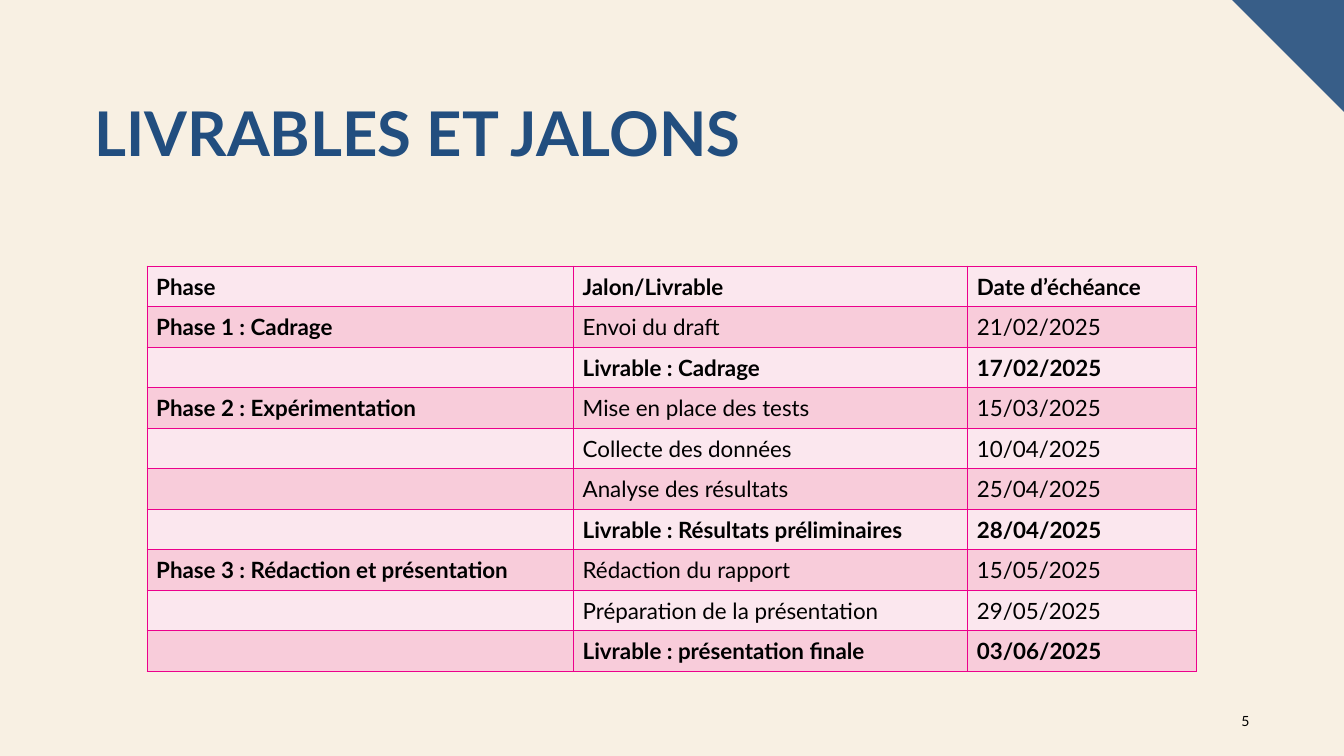
from lxml.etree import SubElement
from pptx import Presentation
from pptx.dml.color import RGBColor
from pptx.enum.text import MSO_ANCHOR as Anchor, PP_ALIGN as Align
from pptx.oxml.ns import qn
from pptx.util import Inches, Pt

TITLE = "LIVRABLES ET JALONS"
PAGE_NUMBER = "5"
HEADER = ("Phase", "Jalon/Livrable", "Date d’échéance")
PHASES = [
    ("Phase 1 : Cadrage", [
        ("Envoi du draft", "21/02/2025"),
        ("Livrable : Cadrage", "17/02/2025"),
    ]),
    ("Phase 2 : Expérimentation", [
        ("Mise en place des tests", "15/03/2025"),
        ("Collecte des données", "10/04/2025"),
        ("Analyse des résultats", "25/04/2025"),
        ("Livrable : Résultats préliminaires", "28/04/2025"),
    ]),
    ("Phase 3 : Rédaction et présentation", [
        ("Rédaction du rapport", "15/05/2025"),
        ("Préparation de la présentation", "29/05/2025"),
        ("Livrable : présentation finale", "03/06/2025"),
    ]),
]

FONT = "Lato"
CREAM, BLUE, NAVY, BLACK = "F8F0E3", "385E88", "224E7F", "000000"
BANDS = ("FBE7EE", "F8CCDA")
BORDER = "EC008C"
WIDTH, HEIGHT = 13.33, 7.5
CORNER = 1.11
TABLE_LEFT, TABLE_TOP, TABLE_HEIGHT = 1.46, 2.64, 4.02
COLUMNS = (4.23, 3.91, 2.27)


def color(hex_code):
    return RGBColor.from_string(hex_code)


def style(para, size, hex_code, bold=False):
    font = para.font
    font.name, font.size, font.bold = FONT, Pt(size), bold
    font.color.rgb = color(hex_code)


def add_text(page, text, area):
    box = page.shapes.add_textbox(*map(Inches, area))
    box.text_frame.word_wrap = True
    box.text_frame.text = text
    return box.text_frame, box.text_frame.paragraphs[0]


def add_corner(page):
    builder = page.shapes.build_freeform(
        Inches(WIDTH - CORNER), 0)
    builder.add_line_segments(
        [(Inches(WIDTH), 0), (Inches(WIDTH), Inches(CORNER))], close=True)
    corner = builder.convert_to_shape()
    corner.shadow.inherit = False
    corner.fill.solid()
    corner.fill.fore_color.rgb = color(BLUE)
    corner.line.fill.background()


def add_borders(cell):
    properties = cell._tc.get_or_add_tcPr()
    for side in ("a:lnL", "a:lnR", "a:lnT", "a:lnB"):
        line = SubElement(properties, qn(side), w=str(Pt(1)))
        fill = SubElement(line, qn("a:solidFill"))
        SubElement(fill, qn("a:srgbClr"), val=BORDER)


def table_rows():
    """Yield each row's texts with the matching bold flags."""
    yield HEADER, (True, True, True)
    for phase, milestones in PHASES:
        for index, (milestone, date) in enumerate(milestones):
            is_deliverable = milestone.startswith("Livrable")
            yield ((phase if index == 0 else "", milestone, date),
                   (True, is_deliverable, is_deliverable))


def add_schedule(page):
    rows = list(table_rows())
    table = page.shapes.add_table(
        len(rows), len(COLUMNS), Inches(TABLE_LEFT), Inches(TABLE_TOP),
        Inches(sum(COLUMNS)), Inches(TABLE_HEIGHT)).table
    table.first_row = table.horz_banding = False
    for column, width in zip(table.columns, COLUMNS):
        column.width = Inches(width)
    for row_index, (texts, bolds) in enumerate(rows):
        table.rows[row_index].height = Inches(TABLE_HEIGHT / len(rows))
        for cell, text, bold in zip(table.rows[row_index].cells, texts, bolds):
            cell.text = text
            cell.vertical_anchor = Anchor.MIDDLE
            cell.margin_left = cell.margin_right = Inches(0.09)
            cell.margin_top = cell.margin_bottom = Inches(0.05)
            style(cell.text_frame.paragraphs[0], 16, BLACK, bold)
            add_borders(cell)
            cell.fill.solid()
            cell.fill.fore_color.rgb = color(BANDS[row_index % 2])


def main():
    deck = Presentation()
    deck.slide_width, deck.slide_height = Inches(WIDTH), Inches(HEIGHT)
    page = deck.slides.add_slide(deck.slide_layouts[6])
    page.background.fill.solid()
    page.background.fill.fore_color.rgb = color(CREAM)
    add_corner(page)

    _, title = add_text(page, TITLE, (0.84, 0.98, 11.66, 1.45))
    title.line_spacing = 0.9
    style(title, 44, NAVY, bold=True)

    frame, number = add_text(page, PAGE_NUMBER, (11.99, 6.95, 0.5, 0.4))
    frame.vertical_anchor = Anchor.MIDDLE
    number.alignment = Align.RIGHT
    number.space_after = Pt(6)
    style(number, 10, BLACK)

    add_schedule(page)
    deck.save("out.pptx")


if __name__ == "__main__":
    main()
